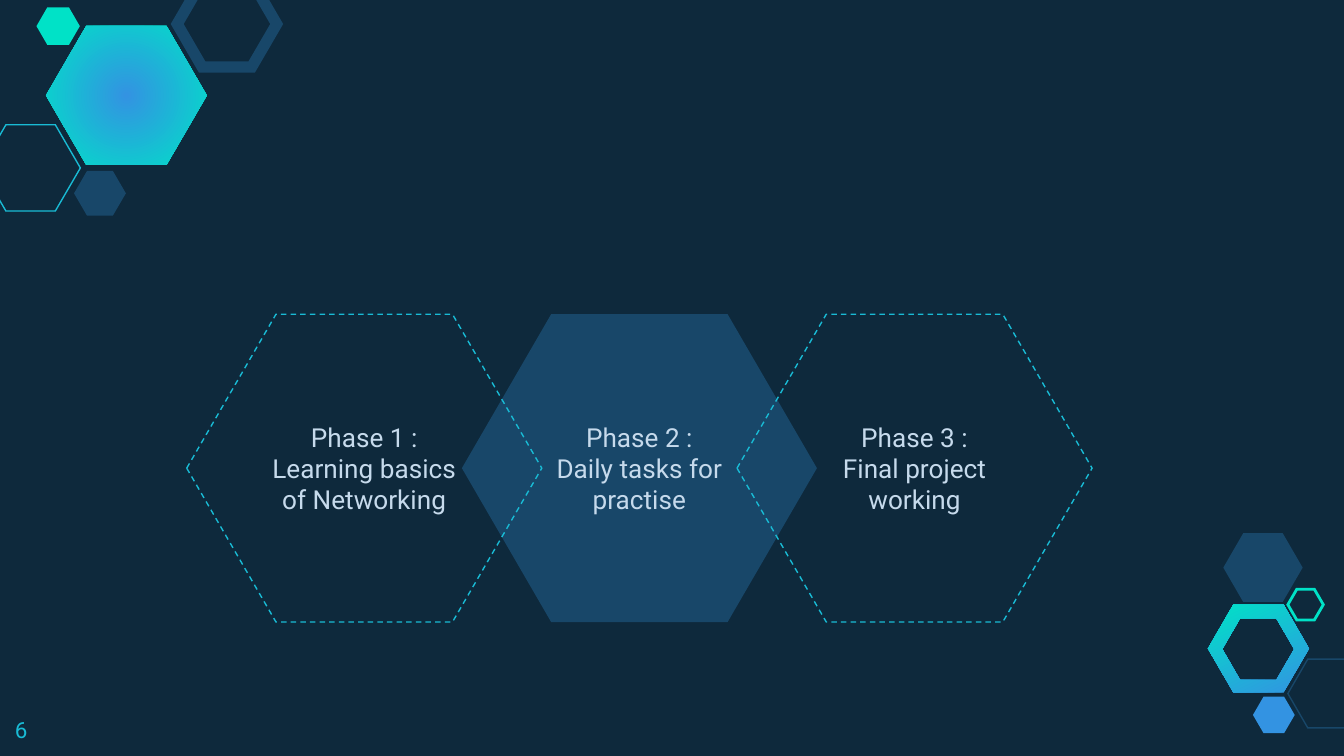
from lxml.etree import SubElement
from pptx import Presentation
from pptx.dml.color import RGBColor
from pptx.enum.dml import MSO_LINE
from pptx.enum.shapes import MSO_SHAPE
from pptx.enum.text import MSO_ANCHOR, PP_ALIGN
from pptx.oxml.ns import qn
from pptx.util import Cm, Pt

NIGHT = RGBColor(0x0E, 0x29, 0x3C)
NAVY = RGBColor(0x18, 0x47, 0x69)
BLUE = RGBColor(0x33, 0x93, 0xE2)
CYAN = RGBColor(0x19, 0xBB, 0xD5)
MINT = RGBColor(0x00, 0xE2, 0xC7)
PALE = RGBColor(0xC6, 0xDA, 0xEC)

CORNER = 0.29  # hexagon corner inset as a share of its height


def corners(left, top, wide, high):
    """Six points of a hexagon, clockwise from the left tip."""
    cut = CORNER * high
    right, low, mid = left + wide, top + high, top + high / 2
    spots = [(left, mid), (left + cut, top), (right - cut, top),
             (right, mid), (right - cut, low), (left + cut, low)]
    return [(Cm(x), Cm(y)) for x, y in spots]


class Deck:
    """Holds the text style and the current slide."""

    def __init__(self, slide, font="Roboto"):
        self.slide = slide
        self.font = font

    def hexagon(self, box, fill=None, line=None, width=0.75, dash=False):
        shape = self.slide.shapes.add_shape(
            MSO_SHAPE.HEXAGON, *[Cm(n) for n in box])
        shape.adjustments[0] = CORNER
        self.paint(shape, fill, line, width, dash)
        return shape

    def paint(self, shape, fill=None, line=None, width=0.75, dash=False):
        shape.shadow.inherit = False
        if fill is None:
            shape.fill.background()
        else:
            shape.fill.solid()
            shape.fill.fore_color.rgb = fill
        if line is None:
            shape.line.fill.background()
            return
        shape.line.color.rgb = line
        shape.line.width = Pt(width)
        if dash:
            shape.line.dash_style = MSO_LINE.DASH
        edge = shape._element.spPr.find(qn("a:ln"))
        SubElement(edge, qn("a:miter"), lim="800000")

    def blend(self, shape, angle=None):
        """Fade from blue to mint, outward from the centre if no angle."""
        shape.fill.gradient()
        for stop, color, place in zip(
                shape.fill.gradient_stops, (BLUE, MINT), (0, 1)):
            stop.color.rgb = color
            stop.position = place
        if angle is not None:
            shape.fill.gradient_angle = angle
            return
        grad = shape._element.spPr.find(qn("a:gradFill"))
        grad.remove(grad.find(qn("a:lin")))
        way = SubElement(grad, qn("a:path"), path="circle")
        SubElement(way, qn("a:fillToRect"),
                   {side: "50000" for side in "ltrb"})

    def ring(self, outer, inner, angle):
        edge = corners(*outer)
        hole = corners(*inner)[::-1]
        pen = self.slide.shapes.build_freeform(*edge[0])
        pen.add_line_segments(edge[1:])
        pen.move_to(*hole[0])
        pen.add_line_segments(hole[1:])
        shape = pen.convert_to_shape()
        self.paint(shape)
        self.blend(shape, angle)

    def label(self, shape, lines, size, color, align, anchor):
        frame = shape.text_frame
        frame.word_wrap = True
        frame.vertical_anchor = anchor
        frame.margin_left = frame.margin_right = Cm(0.25)
        frame.margin_top = frame.margin_bottom = Cm(0.25)
        for i, line in enumerate(lines):
            para = frame.add_paragraph() if i else frame.paragraphs[0]
            para.alignment = align
            run = para.add_run()
            run.text = line
            run.font.name = self.font
            run.font.size = Pt(size)
            run.font.color.rgb = color

    def phase(self, num, task, **look):
        box = (3.53 + 5.2 * (num - 1), 5.94, 6.71, 5.82)
        self.label(self.hexagon(box, **look), [f"Phase {num} :", task],
                   14, PALE, PP_ALIGN.CENTER, MSO_ANCHOR.MIDDLE)

    def number(self, text):
        box = self.slide.shapes.add_textbox(
            Cm(0.03), Cm(13.28), Cm(1.52), Cm(0.99))
        self.label(box, [text], 12, CYAN, PP_ALIGN.LEFT, MSO_ANCHOR.TOP)


def main():
    show = Presentation()
    show.slide_width, show.slide_height = Cm(25.4), Cm(14.29)
    slide = show.slides.add_slide(show.slide_layouts[6])
    slide.background.fill.solid()
    slide.background.fill.fore_color.rgb = NIGHT
    deck = Deck(slide)

    deck.ring((22.83, 11.43, 1.91, 1.66), (23.1, 11.69, 1.36, 1.16), 116)
    deck.blend(deck.hexagon((0.87, 0.49, 3.04, 2.63)))

    # Top left cluster
    deck.hexagon((-0.36, 2.36, 1.88, 1.63), line=CYAN)
    deck.hexagon((1.4, 3.23, 0.98, 0.85), fill=NAVY)
    deck.hexagon((3.35, -0.36, 1.88, 1.63), line=NAVY, width=6)
    deck.hexagon((0.69, 0.14, 0.82, 0.71), fill=MINT)

    # Bottom right cluster
    deck.hexagon((24.34, 12.46, 1.5, 1.3), line=NAVY)
    deck.hexagon((23.68, 13.17, 0.79, 0.69), fill=BLUE)
    deck.hexagon((23.12, 10.08, 1.5, 1.3), fill=NAVY)
    deck.hexagon((24.34, 11.14, 0.67, 0.58), line=MINT, width=1.5)

    deck.phase(2, "Daily tasks for practise", fill=NAVY)
    deck.phase(1, "Learning basics of Networking", line=CYAN, dash=True)
    deck.phase(3, "Final project working", line=CYAN, dash=True)
    deck.number("6")
    show.save("out.pptx")


if __name__ == "__main__":
    main()
